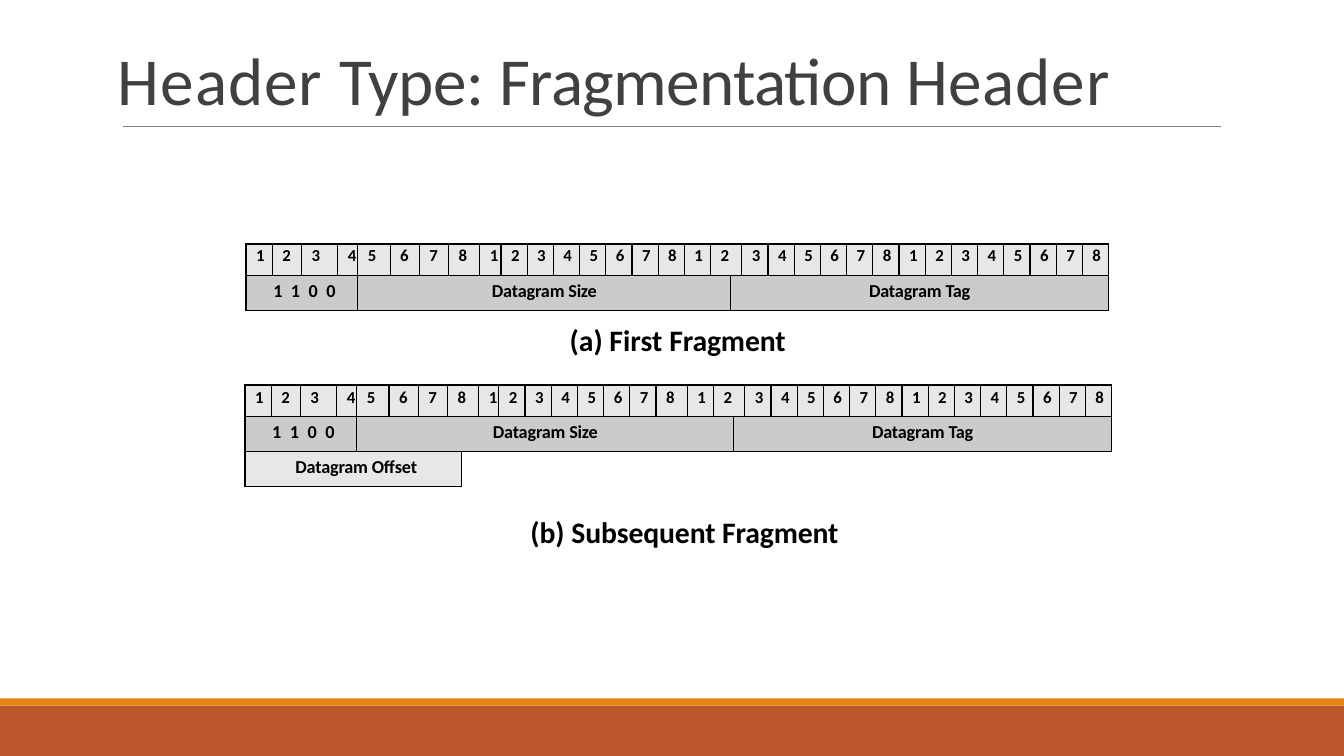
import pptx
import pptx.dml.color
import pptx.enum.shapes
import pptx.enum.text
import pptx.oxml
import pptx.oxml.ns
import pptx.util
from pptx.util import Inches

RGBColor = pptx.dml.color.RGBColor
BLACK = RGBColor(0x00, 0x00, 0x00)
TITLE_GRAY = RGBColor(0x40, 0x40, 0x40)
RULE_GRAY = RGBColor(0x80, 0x80, 0x80)
BIT_GRAY = RGBColor(0xE7, 0xE7, 0xE7)
FIELD_GRAY = RGBColor(0xCB, 0xCB, 0xCB)
RUST = RGBColor(0xBD, 0x58, 0x2C)
ORANGE = RGBColor(0xE4, 0x83, 0x12)
NO_STYLE = "{2D5ABB26-0587-4C30-8999-92F81FD0307C}"


def write(tf, runs, size=13, color=BLACK, bold=True, before=0.9, indent=0.01,
          center=False):
    """Fill the first paragraph with (text, letter spacing in points) runs."""
    p = tf.paragraphs[0]
    p.space_before = pptx.util.Pt(before)
    if center:
        p.alignment = pptx.enum.text.PP_ALIGN.CENTER
    else:
        p._p.get_or_add_pPr().set("marL", str(Inches(indent)))
    for text, spacing in runs:
        r = p.add_run()
        r.text = text
        r.font.name = "Calibri"
        r.font.size = pptx.util.Pt(size)
        r.font.bold = bold
        r.font.color.rgb = color
        r._r.get_or_add_rPr().set("spc", str(round(spacing * 100)))


def add_borders(cell):
    """Draw a 1 pt black line on each side of a cell."""
    tcPr = cell._tc.get_or_add_tcPr()
    for side in ("lnL", "lnR", "lnT", "lnB"):
        tcPr.append(pptx.oxml.parse_xml(
            f'<a:{side} {pptx.oxml.ns.nsdecls("a")} w="12700"><a:solidFill>'
            f'<a:srgbClr val="{BLACK}"/></a:solidFill></a:{side}>'))


prs = pptx.Presentation()
prs.slide_width = Inches(13.33)
prs.slide_height = Inches(7.5)
s = prs.slides.add_slide(prs.slide_layouts[6])

# Footer bands
for top, height, color in ((7, 0.5, RUST), (6.93, 0.07, ORANGE)):
    sp = s.shapes.add_shape(pptx.enum.shapes.MSO_SHAPE.RECTANGLE, 0,
                            Inches(top), prs.slide_width, Inches(height))
    sp.shadow.inherit = False
    sp.fill.solid()
    sp.fill.fore_color.rgb = color
    sp.line.fill.background()

# Rule under the title
rule = s.shapes.add_connector(pptx.enum.shapes.MSO_CONNECTOR.STRAIGHT,
                              Inches(1.22), Inches(1.25), Inches(12.11), Inches(1.25))
rule.line.color.rgb = RULE_GRAY
rule.line.width = pptx.util.Pt(0.5)
rule._element.spPr.append(
    pptx.oxml.parse_xml(f'<a:effectLst {pptx.oxml.ns.nsdecls("a")}/>'))

# Title and table captions
title = [("Header ", 0.7), ("Type: ", -0.3), ("Fragmentation ", -0.5), ("Header", 0.6)]
captions = (
    (1.16, 0.36, 10.54, 0.82, title, dict(size=48, color=TITLE_GRAY, bold=False)),
    (5.64, 3.18, 2.17, 0.37, [("(a) First ", 0), ("Fragment", -0.1)], dict(size=21.2)),
    (5.25, 5.09, 3.1, 0.37, [("(b) ", 0), ("Subsequent Fragment", -0.1)],
     dict(size=21.2)),
)
for left, top, width, height, runs, style in captions:
    tf = s.shapes.add_textbox(Inches(left), Inches(top),
                              Inches(width), Inches(height)).text_frame
    tf.word_wrap = True
    tf.margin_left = tf.margin_right = tf.margin_bottom = 0
    tf.margin_top = Inches(0.01)
    if runs is title:
        tf.vertical_anchor = pptx.enum.text.MSO_ANCHOR.BOTTOM
    write(tf, runs, **style)

# Header layouts: column widths, bits that take two columns, column where the tag starts
first_bits = [0.26, 0.29, 0.36, 0.2, 0.32, 0.29, 0.29]
last_bits = [0.2, 0.11] + [0.26] * 14
headers = (
    (2.44, 2.42, first_bits + [0.31, 0.21] + [0.26] * 8 + last_bits, {17}, 18, False),
    (2.43, 3.82, first_bits + [0.14, 0.17, 0.2] + [0.26] * 6 + [0.31, 0.26] + last_bits,
     {7, 17}, 19, True),
)
for left, top, widths, double_bits, tag_start, has_offset in headers:
    heights = [0.31, 0.35, 0.35] if has_offset else [0.31, 0.35]
    frame = s.shapes.add_table(len(heights), len(widths), Inches(left), Inches(top),
                               Inches(sum(widths)), Inches(sum(heights)))
    table = frame.table
    table.first_row = table.horz_banding = False
    table._tbl.tblPr.find(pptx.oxml.ns.qn("a:tableStyleId")).text = NO_STYLE
    for column, width in zip(table.columns, widths):
        column.width = Inches(width)
    for row, height in zip(table.rows, heights):
        row.height = Inches(height)

    # Cells as row, first column, end column, runs, fill, text style
    cells = []
    start = 0
    for bit in range(32):
        end = start + (2 if bit in double_bits else 1)
        cells.append((0, start, end, [(str(bit % 8 + 1), -0.5)], BIT_GRAY,
                      dict(size=12, before=1.8, indent=0.1)))
        start = end
    cells += [
        (1, 0, 4, [("1 1 0 ", 1.6), ("0", -0.5)], FIELD_GRAY,
         dict(before=4.3, indent=0.27)),
        (1, 4, tag_start, [("Datagram ", -0.1), ("Size", -0.2)], FIELD_GRAY,
         dict(before=4.3, center=True)),
        (1, tag_start, len(widths), [("Datagram ", -0.1), ("Tag", -0.2)], FIELD_GRAY,
         dict(before=4.3, center=True)),
    ]
    if has_offset:
        cells += [
            (2, 0, 8, [("Datagram Offset", -0.1)], BIT_GRAY,
             dict(before=4.3, indent=0.5)),
            (2, 8, len(widths), [], None, {}),
        ]

    for row, start, end, runs, fill, style in cells:
        for col in range(start, end):
            cell = table.cell(row, col)
            cell.margin_left = cell.margin_right = cell.margin_bottom = 0
            cell.margin_top = Inches(0.02 if row == 0 else 0.05) if runs else 0
            if fill is None:
                cell.fill.background()
                continue
            add_borders(cell)
            cell.fill.solid()
            cell.fill.fore_color.rgb = fill
        cell = table.cell(row, start)
        if end - start > 1:
            cell.merge(table.cell(row, end - 1))
        write(cell.text_frame, runs, **style)

prs.save("out.pptx")
